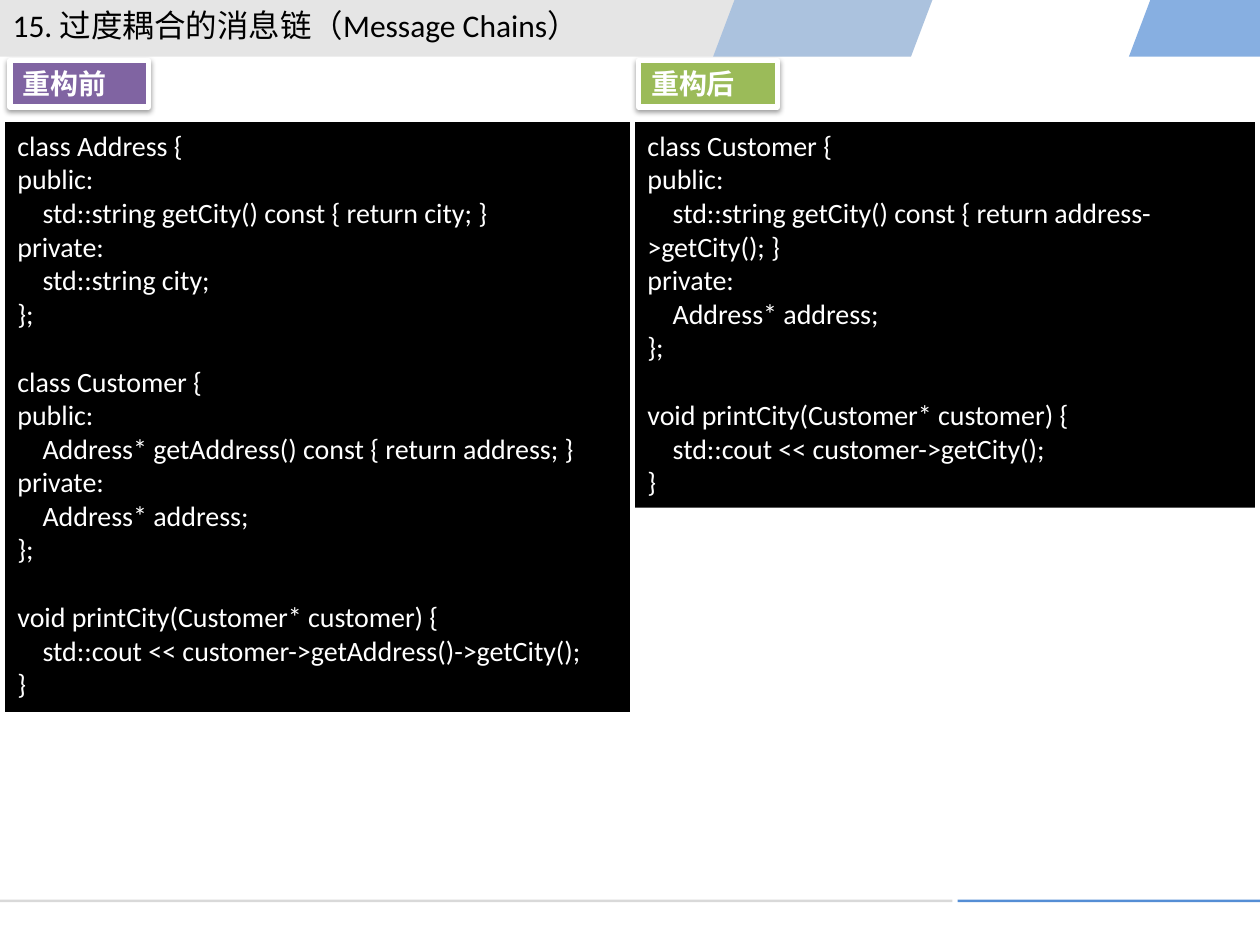
from dataclasses import dataclass

from lxml import etree
from pptx import Presentation
from pptx import util as u
from pptx.dml.color import RGBColor
from pptx.enum import shapes, text
from pptx.oxml import ns


@dataclass(frozen=True)
class Theme:
    font: str = "Calibri"
    title_size: float = 18
    body_size: float = 16
    line_height: float = 19.5
    black: str = "000000"
    white: str = "FFFFFF"
    grey: str = "BFBFBF"
    light_grey: str = "D9D9D9"
    blue: str = "558ED5"
    purple: str = "8064A2"
    green: str = "9BBB59"


BEFORE_CODE = """class Address {
public:
    std::string getCity() const { return city; }
private:
    std::string city;
};

class Customer {
public:
    Address* getAddress() const { return address; }
private:
    Address* address;
};

void printCity(Customer* customer) {
    std::cout << customer->getAddress()->getCity();
}"""

AFTER_CODE = """class Customer {
public:
    std::string getCity() const { return address->getCity(); }
private:
    Address* address;
};

void printCity(Customer* customer) {
    std::cout << customer->getCity();
}"""


def write_text(frame, content, *, font, size, color, bold=False, gap=0):
    """Write one paragraph per line; an empty line becomes space before the next."""
    frame.word_wrap = True
    frame.auto_size = text.MSO_AUTO_SIZE.NONE
    frame.vertical_anchor = text.MSO_ANCHOR.TOP
    para, pending = frame.paragraphs[0], 0
    for number, line in enumerate(content.split("\n")):
        if not line:
            pending += gap
            continue
        if number:
            para = frame.add_paragraph()
        para.alignment = text.PP_ALIGN.LEFT
        para.space_before = u.Pt(pending)
        pending = 0
        span = para.add_run()
        span.text = line
        span.font.name = font
        span.font.size = u.Pt(size)
        span.font.bold = bold
        span.font.color.rgb = RGBColor.from_string(color)


class SlideBuilder:
    def __init__(self, slide, theme):
        self.slide = slide
        self.theme = theme

    def fill(self, shape, color, opacity=100):
        shape.shadow.inherit = False
        shape.fill.solid()
        shape.fill.fore_color.rgb = RGBColor.from_string(color)
        shape.line.fill.background()
        if opacity < 100:
            tone = shape.fill._xPr.find(".//" + ns.qn("a:srgbClr"))
            etree.SubElement(tone, ns.qn("a:alpha"), val=str(opacity * 1000))

    def band(self, points, color, opacity):
        corners = [(u.Inches(x), u.Inches(y)) for x, y in points]
        outline = self.slide.shapes.build_freeform(*corners[0])
        outline.add_line_segments(corners[1:], close=True)
        self.fill(outline.convert_to_shape(), color, opacity)

    def block(self, left, top, width, height, color):
        box = self.slide.shapes.add_shape(
            shapes.MSO_SHAPE.RECTANGLE,
            *(u.Inches(value) for value in (left, top, width, height)))
        self.fill(box, color)
        return box

    def title(self, content, left, top, width, height):
        box = self.slide.shapes.title
        box.left, box.top = u.Inches(left), u.Inches(top)
        box.width, box.height = u.Inches(width), u.Inches(height)
        write_text(box.text_frame, content, font=self.theme.font,
                   size=self.theme.title_size, color=self.theme.black)

    def code(self, content, left, top, width, height):
        box = self.block(left, top, width, height, self.theme.black)
        write_text(box.text_frame, content, font=self.theme.font,
                   size=self.theme.body_size, color=self.theme.white,
                   gap=self.theme.line_height)

    def label(self, content, left, top, width, height, color):
        box = self.block(left, top, width, height, color)
        box.line.color.rgb = RGBColor.from_string(self.theme.white)
        box.line.width = u.Pt(3)
        self.drop_shadow(box)
        write_text(box.text_frame, content, font=self.theme.font,
                   size=self.theme.body_size, color=self.theme.white, bold=True)

    def drop_shadow(self, box):
        effects = box._element.spPr.find(ns.qn("a:effectLst"))
        shadow = etree.SubElement(
            effects, ns.qn("a:outerShdw"), blurRad=str(u.Pt(3.1)),
            dist=str(u.Pt(1.6)), dir="5400000", rotWithShape="0")
        tone = etree.SubElement(shadow, ns.qn("a:srgbClr"), val=self.theme.black)
        etree.SubElement(tone, ns.qn("a:alpha"), val="38000")


def main():
    theme = Theme()
    deck = Presentation()
    deck.slide_width, deck.slide_height = u.Inches(10), u.Inches(7.5)
    page = SlideBuilder(deck.slides.add_slide(deck.slide_layouts[5]), theme)

    # Header bands
    depth = 0.45
    page.band([(9.13, 0), (10, 0), (10, depth), (8.96, depth)], theme.blue, 70)
    page.band([(0, 0), (7.4, 0), (7.23, depth), (0, depth)], theme.grey, 40)
    page.band([(5.83, 0), (7.4, 0), (7.23, depth), (5.66, depth)], theme.blue, 40)

    # Footer rules
    page.block(0, 7.14, 7.56, 0.02, theme.light_grey)
    page.block(7.6, 7.14, 2.4, 0.02, theme.blue)

    # Title, moved in front of the bands
    page.title("15. 过度耦合的消息链（Message Chains）", 0, 0, 5.63, 0.4)
    tree = page.slide.shapes._spTree
    tree.append(page.slide.shapes.title._element)

    # Code before and after the refactoring
    page.code(BEFORE_CODE, 0.04, 0.97, 4.96, 4.68)
    page.code(AFTER_CODE, 5.04, 0.97, 4.92, 3.06)

    # Column labels
    page.label("重构前", 0.08, 0.48, 1.1, 0.37, theme.purple)
    page.label("重构后", 5.07, 0.48, 1.1, 0.37, theme.green)

    deck.save("out.pptx")


if __name__ == "__main__":
    main()
